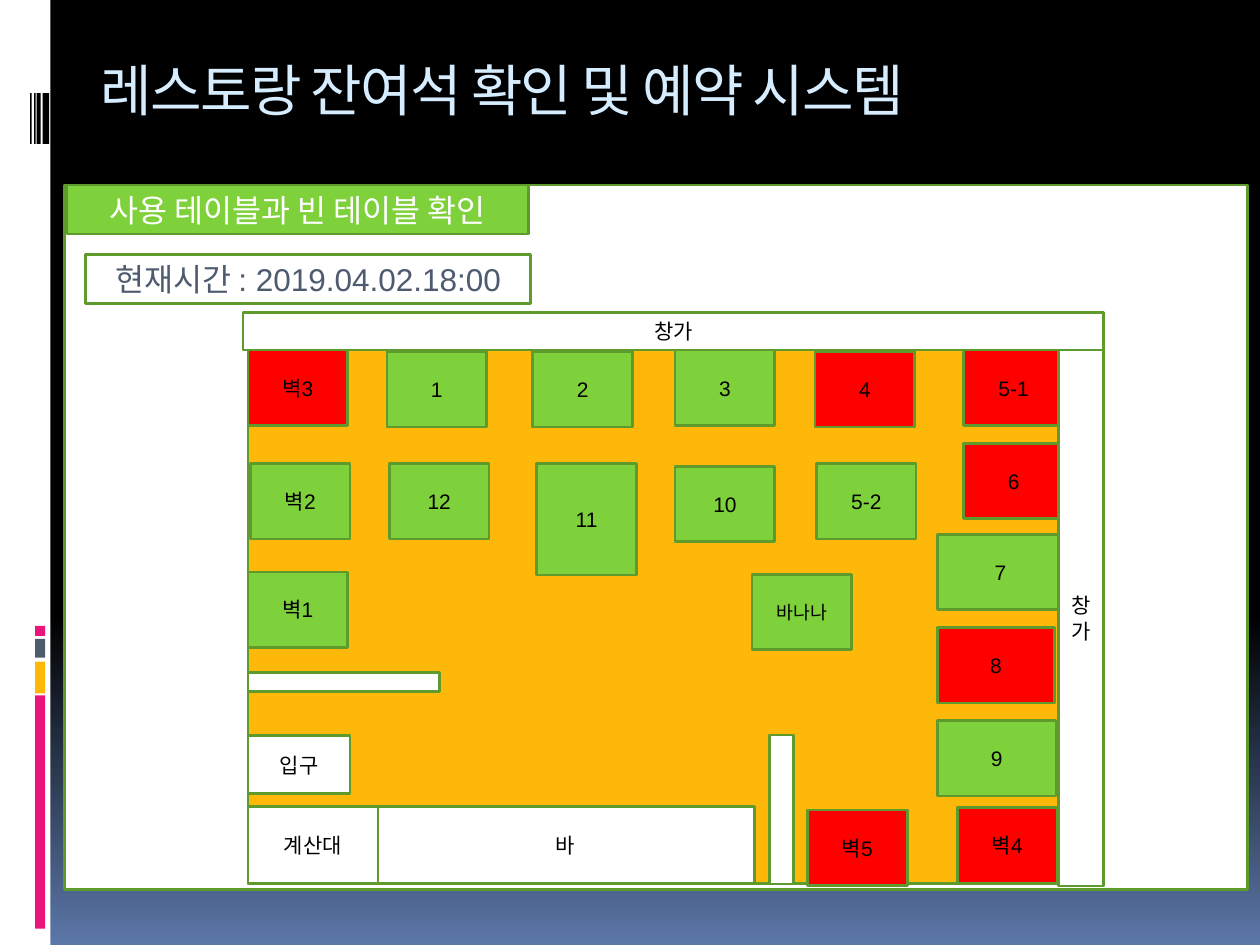
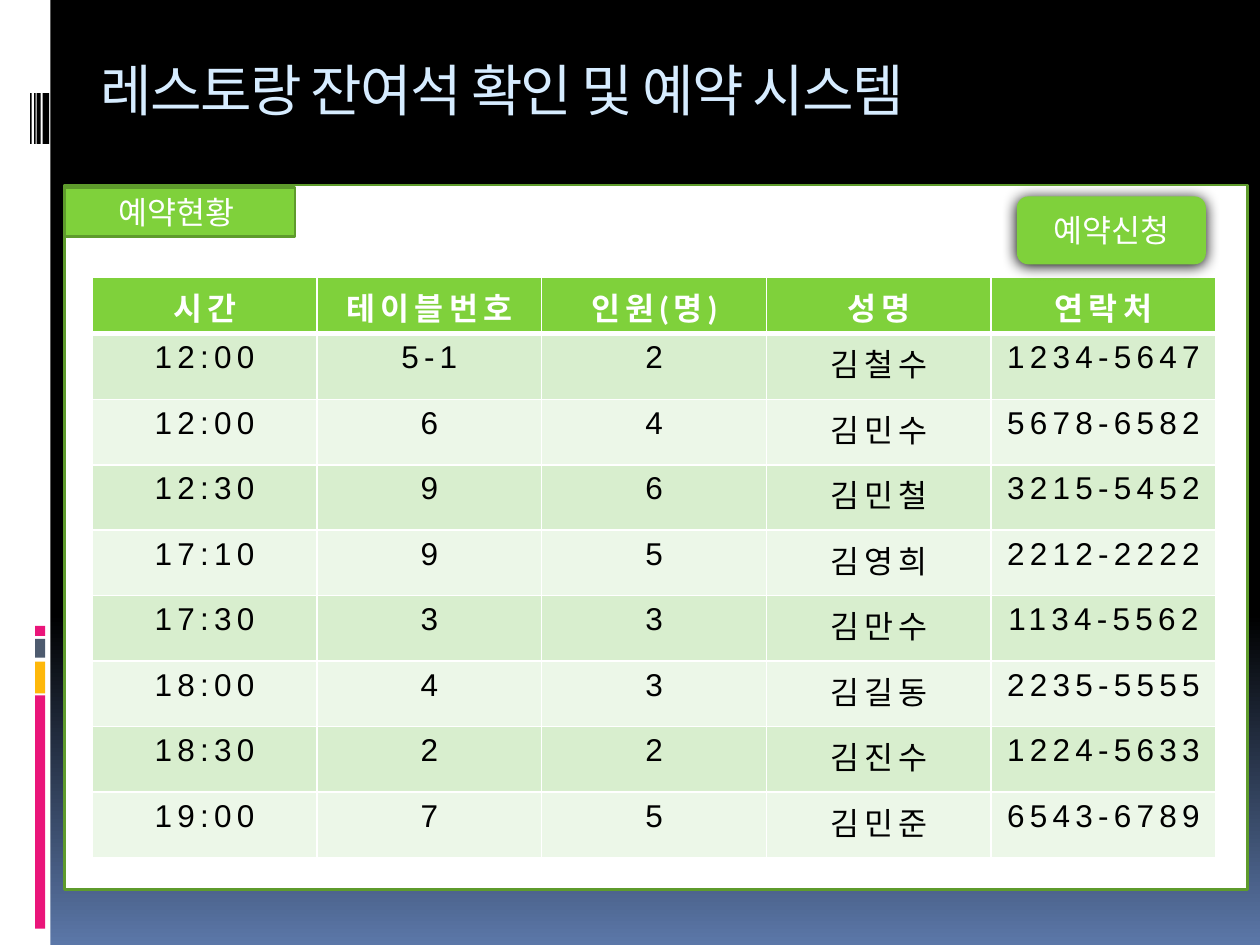
from lxml import etree
from pptx import Presentation
from pptx.dml.color import RGBColor
from pptx.enum.shapes import MSO_SHAPE
from pptx.enum.text import MSO_ANCHOR, PP_ALIGN
from pptx.oxml.ns import qn
from pptx.util import Cm, Pt

RECT, ROUNDED = MSO_SHAPE.RECTANGLE, MSO_SHAPE.ROUNDED_RECTANGLE
LEFT, CENTER = PP_ALIGN.LEFT, PP_ALIGN.CENTER
MIDDLE = MSO_ANCHOR.MIDDLE

BLACK = RGBColor(0x00, 0x00, 0x00)
WHITE = RGBColor(0xFF, 0xFF, 0xFF)
BLUE = RGBColor(0x5B, 0x77, 0xA8)
PINK = RGBColor(0xEA, 0x15, 0x7A)
AMBER = RGBColor(0xFE, 0xB8, 0x0A)
SLATE = RGBColor(0x4E, 0x5B, 0x6F)
TITLE_BLUE = RGBColor(0xD6, 0xEC, 0xFF)
GREEN = RGBColor(0x7F, 0xD1, 0x3B)
DARK_GREEN = RGBColor(0x5E, 0x9B, 0x2C)
RED = RGBColor(0xFF, 0x00, 0x00)
ROW_TINTS = (RGBColor(0xD8, 0xEE, 0xCE), RGBColor(0xEC, 0xF7, 0xE8))

BODY_FONT, LABEL_FONT, TITLE_FONT = "Arial", "Lato", "DejaVu Sans Mono"
TITLE = "레스토랑 잔여석 확인 및 예약 시스템"

# Side band: (top, height, colour) and (left, width), in cm
SIDE_BLOCKS = [(14.02, 4.7, PINK), (13.34, 0.64, AMBER),
               (12.88, 0.38, SLATE), (12.62, 0.2, PINK)]
BARCODE = [(0.86, 0.13), (0.74, 0.08), (0.69, 0.03), (0.61, 0.03)]

# Seats: (name, left, top), in cm
SEAT_W, SEAT_H = 2.01, 1.52
SEATS = [
    ("벽3", 5, 7.06), ("1", 7.8, 7.09), ("2", 10.74, 7.09),
    ("3", 13.61, 7.06), ("4", 16.43, 7.09), ("5-1", 19.43, 7.06),
    ("벽2", 5.05, 9.35), ("12", 7.85, 9.35), ("11", 10.82, 9.35),
    ("10", 13.61, 9.4), ("5-2", 16.46, 9.35), ("6", 19.43, 8.94),
    ("벽1", 5, 11.53), ("바나나", 15.16, 11.58),
    ("7", 18.9, 10.77), ("8", 18.9, 12.65), ("9", 18.9, 14.53),
    ("벽4", 19.3, 16.28), ("벽5", 16.28, 16.33),
]
OCCUPIED = {"벽3", "4", "5-1", "6", "8", "벽4", "벽5"}
SEAT_WIDTHS = {"7": 2.54, "8": 2.36, "9": 2.39}
SEAT_HEIGHTS = {"11": 2.24}
SEAT_SIZES = {"바나나": 10.5}

# Fixtures: (name, font, left, top, width, height), in cm
FIXTURES = [
    ("바", LABEL_FONT, 7.59, 16.26, 7.62, 1.55),
    ("계산대", LABEL_FONT, 5, 16.26, 2.62, 1.55),
    ("창가", BODY_FONT, 4.9, 6.3, 17.35, 0.76),
    ("입구", LABEL_FONT, 5, 14.83, 2.06, 1.17),
    ("", BODY_FONT, 5, 13.56, 3.86, 0.38),
]

HEADINGS = ["시간", "테이블번호", "인원(명)", "성명", "연락처"]
RESERVATIONS = [
    ("12:00", "5-1", "2", "김철수", "1234-5647"),
    ("12:00", "6", "4", "김민수", "5678-6582"),
    ("12:30", "9", "6", "김민철", "3215-5452"),
    ("17:10", "9", "5", "김영희", "2212-2222"),
    ("17:30", "3", "3", "김만수", "1134-5562"),
    ("18:00", "4", "3", "김길동", "2235-5555"),
    ("18:30", "2", "2", "김진수", "1224-5633"),
    ("19:00", "7", "5", "김민준", "6543-6789"),
]


def add_child(parent, tag, **attributes):
    """Append a DrawingML element and return it."""
    child = etree.SubElement(parent, qn(tag))
    for name, value in attributes.items():
        child.set(name, str(value))
    return child


class Deck:
    """Holds the shared style and the slide being built."""

    def __init__(self):
        """Start an empty 4:3 presentation."""
        self.presentation = Presentation()
        self.presentation.slide_width = Cm(25.4)
        self.presentation.slide_height = Cm(19.05)
        self.slide = None

    def new_slide(self):
        """Add a slide with background, side band, title and white panel."""
        blank = self.presentation.slide_layouts[6]
        self.slide = self.presentation.slides.add_slide(blank)
        backdrop = self.slide.background.fill
        backdrop.gradient()
        backdrop.gradient_angle = 270
        for stop, position, colour in zip(backdrop.gradient_stops,
                                          (0.65, 1), (BLACK, BLUE)):
            stop.position = position
            stop.color.rgb = colour
        self.box(0, 0, 1.02, 19.05, WHITE, line=None)
        for top, height, colour in SIDE_BLOCKS:
            self.box(0.71, top, 0.2, height, colour, line=None)
        for left, width in BARCODE:
            self.box(left, 1.88, width, 1.02, BLACK, line=None)
        self.title()
        self.box(1.3, 3.73, 23.85, 14.2, WHITE)

    def title(self):
        """Place the shared title."""
        heading = self.slide.shapes.add_textbox(
            Cm(1.78), Cm(0.53), Cm(21.59), Cm(2.54))
        self.set_text(heading.text_frame, TITLE, 32, TITLE_FONT, TITLE_BLUE,
                      align=LEFT, spacing=-1)
        heading.text_frame.vertical_anchor = MIDDLE

    def set_text(self, frame, text, size, font, colour,
                 align=CENTER, bold=False, spacing=0):
        """Put one styled paragraph in a text frame; spacing is in points."""
        frame.word_wrap = True
        paragraph = frame.paragraphs[0]
        paragraph.text = text
        paragraph.alignment = align
        paragraph.font.size = Pt(size)
        paragraph.font.name = font
        paragraph.font.bold = bold
        paragraph.font.color.rgb = colour
        if spacing:
            style = paragraph._p.pPr.find(qn("a:defRPr"))
            style.set("spc", str(spacing * 100))

    def box(self, left, top, width, height, fill, text="", size=12,
            font=BODY_FONT, colour=BLACK, line=DARK_GREEN, kind=RECT):
        """Draw a box, with centred text if any."""
        shape = self.slide.shapes.add_shape(
            kind, Cm(left), Cm(top), Cm(width), Cm(height))
        shape.shadow.inherit = False
        if fill is None:
            shape.fill.background()
        else:
            shape.fill.solid()
            shape.fill.fore_color.rgb = fill
        if line is None:
            shape.line.fill.background()
        else:
            shape.line.color.rgb = line
            shape.line.width = Pt(1.5)
        if text:
            self.set_text(shape.text_frame, text, size, font, colour)
            shape.text_frame.vertical_anchor = MIDDLE
        return shape

    def label(self, left, top, width, text):
        """Draw a green section label."""
        self.box(left, top, width, 0.99, GREEN, text, 18, LABEL_FONT, WHITE)

    def button(self, left, top, width, height, text):
        """Draw a rounded green button with a soft shadow."""
        button = self.box(left, top, width, height, GREEN, text, 18,
                          LABEL_FONT, WHITE, line=None, kind=ROUNDED)
        effects = button._element.spPr.find(qn("a:effectLst"))
        shadow = add_child(effects, "a:outerShdw", blurRad=Pt(8.5),
                           dist=Pt(1), dir=5400000, rotWithShape=0)
        add_child(shadow, "a:srgbClr", val=BLACK)

    def seat(self, name, left, top):
        """Draw a seat, red when occupied."""
        self.box(left, top, SEAT_WIDTHS.get(name, SEAT_W),
                 SEAT_HEIGHTS.get(name, SEAT_H),
                 RED if name in OCCUPIED else GREEN,
                 name, SEAT_SIZES.get(name, 12))

    def cell(self, cell, text, fill, font, colour, header):
        """Fill one table cell and give it white borders."""
        properties = cell._tc.get_or_add_tcPr()
        for side in "LRTB":
            width = Pt(3 if header and side == "B" else 1)
            border = add_child(properties, f"a:ln{side}", w=width)
            add_child(add_child(border, "a:solidFill"),
                      "a:srgbClr", val=WHITE)
        cell.fill.solid()
        cell.fill.fore_color.rgb = fill
        self.set_text(cell.text_frame, text, 18, font, colour,
                      bold=header, spacing=3)

    def table(self, left, top, column_width, header_height, row_height,
              headings, records):
        """Draw a table with a green header and alternating rows."""
        height = header_height + row_height * len(records)
        table = self.slide.shapes.add_table(
            len(records) + 1, len(headings), Cm(left), Cm(top),
            Cm(column_width * len(headings)), Cm(height)).table
        for column in table.columns:
            column.width = Cm(column_width)
        for index, record in enumerate([headings, *records]):
            header = index == 0
            table.rows[index].height = Cm(
                header_height if header else row_height)
            fill = GREEN if header else ROW_TINTS[(index - 1) % 2]
            font = LABEL_FONT if header else BODY_FONT
            colour = WHITE if header else BLACK
            for cell, text in zip(table.rows[index].cells, record):
                self.cell(cell, text, fill, font, colour, header)


def floor_plan(deck):
    """Build the slide with used and free seats."""
    deck.new_slide()
    deck.box(5, 6.3, 17.25, 11.51, AMBER)
    for name, font, left, top, width, height in FIXTURES:
        deck.box(left, top, width, height, WHITE, name, font=font)
    for name, left, top in SEATS:
        deck.seat(name, left, top)
    deck.box(21.34, 7.06, 0.91, 10.8, WHITE, "창가")
    partition = deck.box(14.25, 16.08, 3, 0.48, WHITE)
    partition.rotation = 90
    deck.label(1.35, 3.73, 9.3, "사용 테이블과 빈 테이블 확인")
    deck.box(1.73, 5.13, 8.97, 0.99, None,
             "현재시간 : 2019.04.02.18:00", 18, colour=SLATE)


def reservation_list(deck):
    """Build the slide with the reservations."""
    deck.new_slide()
    deck.label(1.3, 3.78, 4.65, "예약현황 ")
    deck.table(1.86, 5.59, 4.53, 1.14, 1.32, HEADINGS, RESERVATIONS)
    deck.button(20.5, 3.96, 3.81, 1.37, "예약신청")


deck = Deck()
floor_plan(deck)
reservation_list(deck)
deck.presentation.save("out.pptx")
